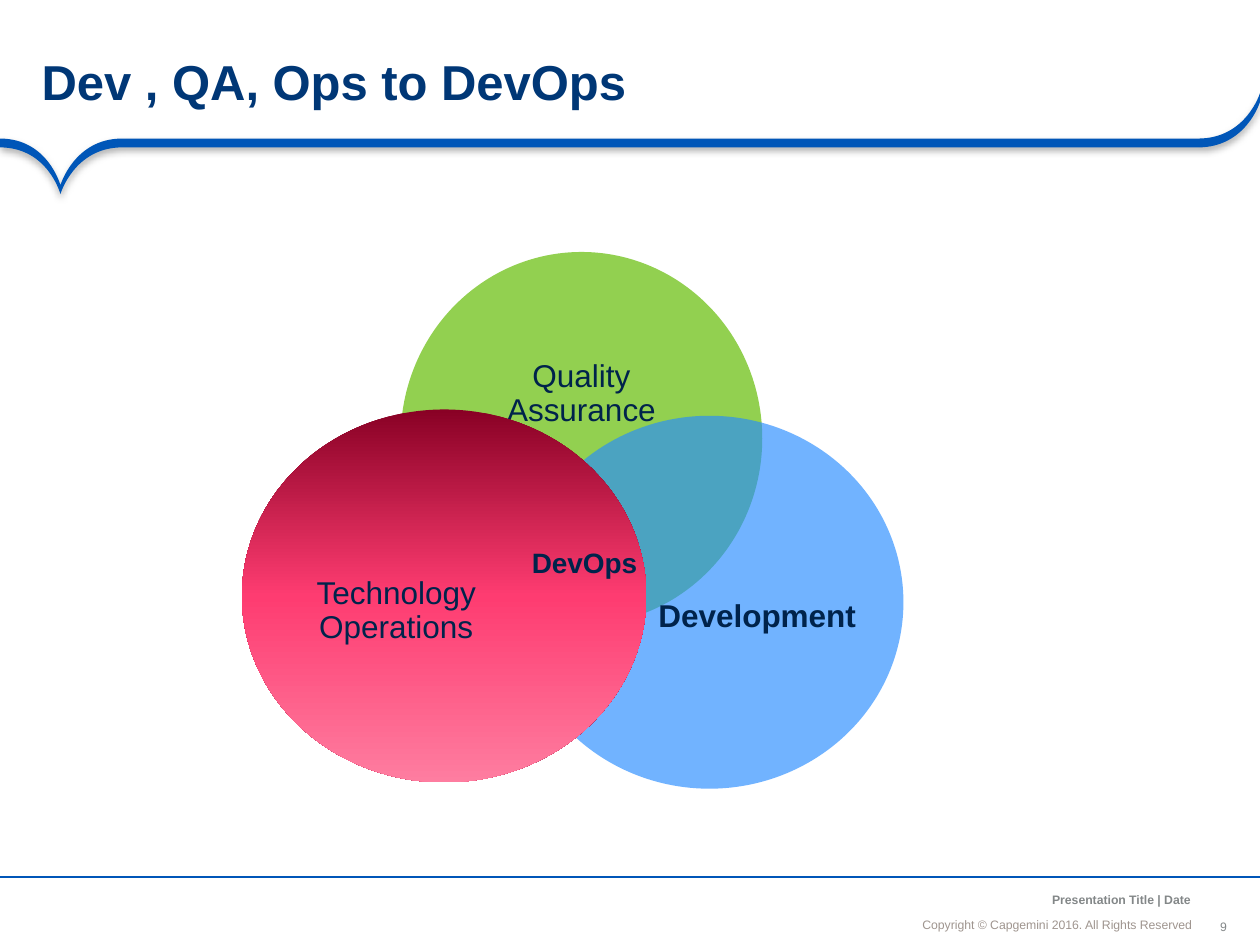
from pptx import Presentation
from pptx.dml.color import RGBColor
from pptx.enum.shapes import MSO_CONNECTOR, MSO_SHAPE
from pptx.enum.text import MSO_ANCHOR as Anchor, PP_ALIGN as Align
from pptx.oxml import parse_xml
from pptx.oxml.ns import nsdecls, qn
from pptx.util import Inches, Pt

COLORS = {
    "banner": "0056B8", "title": "003776", "label": "00234B",
    "quality": "92D050", "development": "258BFF",
    "operations": ("890125", "FE3C71", "FE7DA0"),
    "footer": "838788", "copyright": "9F958F",
}


def rgb(name):
    return RGBColor.from_string(COLORS[name])


def write_text(shape, text, size, color, bold=False, align=Align.LEFT,
               anchor=Anchor.MIDDLE, margins=(0, 0, 0, 0), spacing=1.0, wrap=True):
    """Write one paragraph; margins are left, top, right, bottom in inches."""
    frame = shape.text_frame
    frame.word_wrap = wrap
    frame.vertical_anchor = anchor
    (frame.margin_left, frame.margin_top,
     frame.margin_right, frame.margin_bottom) = map(Inches, margins)
    paragraph = frame.paragraphs[0]
    paragraph.alignment = align
    paragraph.line_spacing = spacing
    run = paragraph.add_run()
    run.text = text
    run.font.name = "Arial"
    run.font.size = Pt(size)
    run.font.bold = bold
    run.font.color.rgb = rgb(color)


def add_label(slide, box, text, **text_format):
    shape = slide.shapes.add_textbox(*map(Inches, box))
    write_text(shape, text, **text_format)


def add_curved_shape(slide, points):
    """Closed outline: a start point, then three points for each cubic curve."""
    points = [tuple(map(Inches, point)) for point in points]
    builder = slide.shapes.build_freeform(*points[0])
    builder.add_line_segments(points[1:], close=True)
    shape = builder.convert_to_shape()
    segments = list(shape._element.spPr.iter(qn("a:lnTo")))
    for index in range(0, len(segments), 3):
        cubic = parse_xml(f'<a:cubicBezTo {nsdecls("a")}/>')
        segments[index].addprevious(cubic)
        for segment in segments[index:index + 3]:
            cubic.append(segment[0])
            segment.getparent().remove(segment)
    return shape


def add_banner(slide, box):
    """Curved band with a notch on the left and a rising right end."""
    left, top, width, height = box
    thickness, bar, notch = 0.07, 0.36, 0.73
    bend = width - 0.49
    upper = [
        (0, bar), (0.38, bar), (0.48, notch), (0.48, notch),
        (0.48, notch), (0.59, bar), (0.97, bar),
        (0.97, bar), (bend, bar), (bend, bar),
        (width - 0.11, bar), (width, 0), (width, 0)]
    lower = [(x, y + thickness) for x, y in reversed(upper)]
    # Straight ends are curves whose control points sit on their own ends
    outline = upper + [upper[-1], lower[0]] + lower + [lower[-1], upper[0], upper[0]]
    banner = add_curved_shape(slide, [(left + x, top + y) for x, y in outline])
    banner.fill.solid()
    banner.fill.fore_color.rgb = rgb("banner")
    banner.line.fill.background()
    banner._element.spPr.append(parse_xml(
        f'<a:effectLst {nsdecls("a")}><a:outerShdw blurRad="50800" dist="25400" '
        'dir="5400000" algn="t" rotWithShape="0"><a:srgbClr val="000000">'
        '<a:alpha val="31000"/></a:srgbClr></a:outerShdw></a:effectLst>'))


def add_title(slide, box, text):
    title = slide.shapes.title
    title.left, title.top, title.width, title.height = map(Inches, box)
    write_text(title, text, size=28, color="title", bold=True,
               margins=(0.33, 0.04, 0.18, 0.04), spacing=0.85)


def add_circle(slide, box, text, color, margins, bold=False, wrap=True, opacity=None):
    circle = slide.shapes.add_shape(MSO_SHAPE.OVAL, *map(Inches, box))
    circle.shadow.inherit = False
    circle.line.fill.background()
    if isinstance(COLORS[color], tuple):
        stops = "".join(
            f'<a:gs pos="{index * 50000}"><a:srgbClr val="{value}"/></a:gs>'
            for index, value in enumerate(COLORS[color]))
        circle._element.spPr.find(qn("a:prstGeom")).addnext(parse_xml(
            f'<a:gradFill rotWithShape="1" {nsdecls("a")}><a:gsLst>{stops}</a:gsLst>'
            '<a:lin ang="5400000" scaled="0"/></a:gradFill>'))
    else:
        circle.fill.solid()
        circle.fill.fore_color.rgb = rgb(color)
    if opacity:
        fill_color = circle._element.spPr.find(qn("a:solidFill"))[0]
        fill_color.append(parse_xml(
            f'<a:alpha {nsdecls("a")} val="{opacity * 1000}"/>'))
    write_text(circle, text, size=18, color="label", bold=bold, align=Align.CENTER,
               margins=margins, spacing=0.9, wrap=wrap)


def add_venn(slide, box):
    """Three overlapping circles and the label of their shared area."""
    left, top, _, _ = box
    diameter = 2.96
    add_circle(slide, (left + 1.26, top, 2.87, diameter), "Quality Assurance",
               "quality", (0.05, 0.2, 0.05, 0.9))
    add_circle(slide, (left + 2.17, top + 1.3, 3.08, diameter), "Development",
               "development", (0.76, 0.49, 0, 0.25), bold=True, wrap=False, opacity=65)
    add_circle(slide, (left, top + 1.25, 3.21, diameter), "Technology Operations",
               "operations", (0, 0.49, 0.76, 0.25))
    add_label(slide, (left + 2.25, top + 2.33, 0.94, 0.27), "DevOps", size=16,
              color="label", bold=True, align=Align.CENTER, anchor=Anchor.TOP)


def add_footer(slide, box):
    left, top, width, _ = box
    rule = slide.shapes.add_connector(
        MSO_CONNECTOR.STRAIGHT, *map(Inches, (left + width, top, left, top)))
    rule.line.color.rgb = rgb("banner")
    rule.line.width = Pt(0.75)
    rule._element.spPr.append(parse_xml(f'<a:effectLst {nsdecls("a")}/>'))
    line_format = dict(size=7, align=Align.RIGHT, anchor=Anchor.BOTTOM,
                       margins=(0.04,) * 4)
    add_label(slide, (left + 7.56, top + 0.07, 1.93, 0.21),
              "Presentation Title | Date", color="footer", bold=True, **line_format)
    add_label(slide, (left + 6.81, top + 0.28, 2.69, 0.2),
              "Copyright © Capgemini 2016. All Rights Reserved",
              color="copyright", spacing=0.9, **line_format)
    add_label(slide, (left + 9.65, top + 0.33, 0.12, 0.12), "9", size=7,
              color="footer", align=Align.CENTER, wrap=False)


def main():
    presentation = Presentation()
    presentation.slide_width, presentation.slide_height = Inches(10), Inches(7.5)
    slide = presentation.slides.add_slide(presentation.slide_layouts[5])
    add_banner(slide, (0, 0.74, 10, 0.8))
    add_footer(slide, (0, 6.96, 10, 0.54))
    add_title(slide, (0, 0.25, 10, 0.85), "Dev , QA, Ops to DevOps")
    add_venn(slide, (1.92, 2, 5.25, 4.26))
    presentation.save("out.pptx")


if __name__ == "__main__":
    main()
